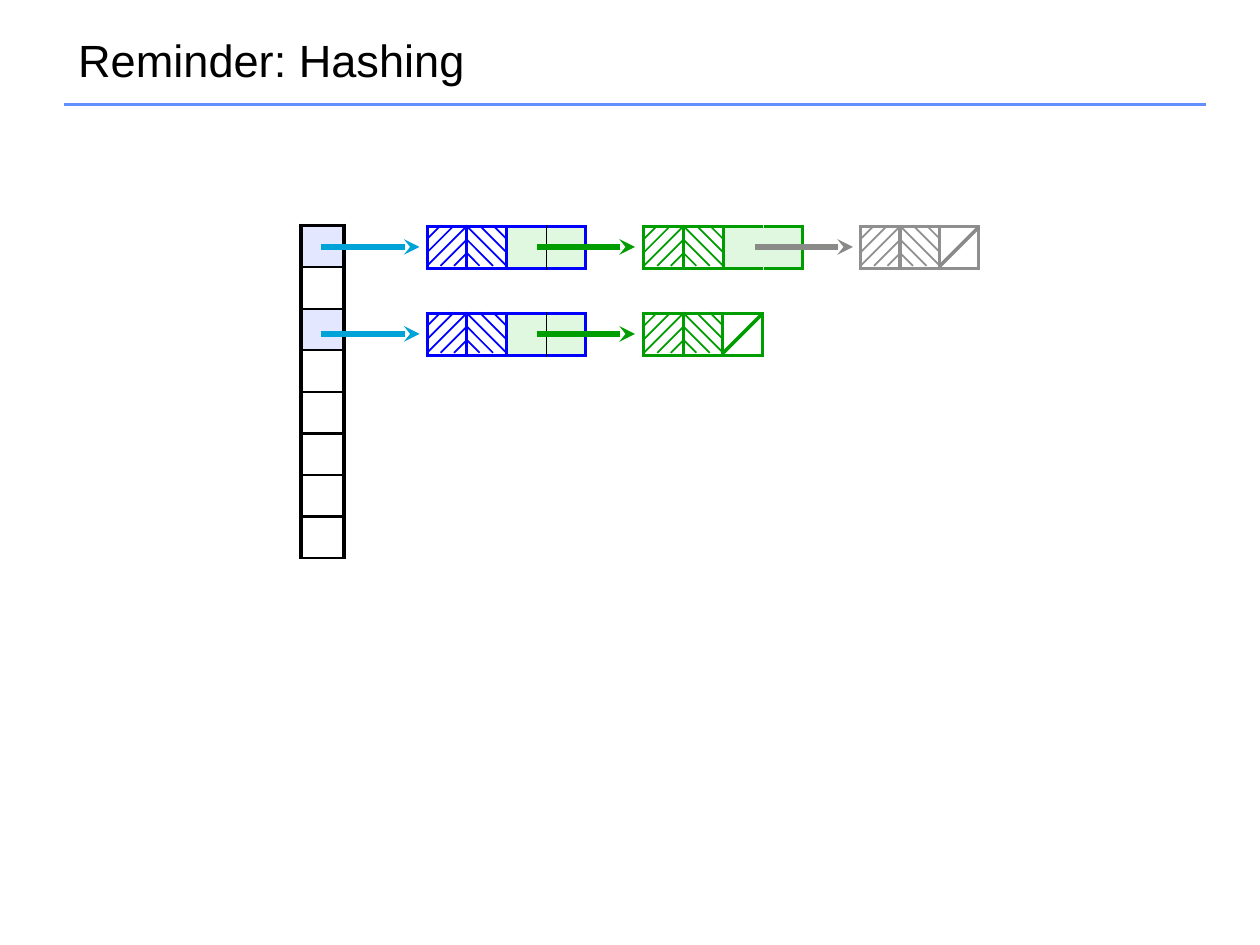
from lxml import etree
from pptx import Presentation
from pptx.dml.color import RGBColor
from pptx.enum.shapes import MSO_CONNECTOR
from pptx.enum.text import MSO_ANCHOR, PP_ALIGN
from pptx.oxml.ns import qn
from pptx.util import Inches, Pt

COLORS = {
    "black": "000000", "white": "FFFFFF", "rule": "618FFD",
    "used_slot": "E3E7FF", "pointer": "E0F8E0",
    "cyan": "00A3D7", "blue": "0000FF", "green": "009D00",
    "gray": "908F8F", "gray_link": "8A8A89",
}
FONT = "Arial"
ROW_HEIGHT = 0.33
HATCH_SIZE = 0.32
WIDE_NODE, SHORT_NODE = 1.26, 0.94
LINK_LENGTH = 0.78


def rgb(name):
    return RGBColor.from_string(COLORS[name])


class SlideBuilder:
    def __init__(self, presentation):
        self.slide = presentation.slides.add_slide(presentation.slide_layouts[5])
        self.shapes = self.slide.shapes

    def title(self, text, left, top, width, height):
        shape = self.shapes.title
        shape.left, shape.top = Inches(left), Inches(top)
        shape.width, shape.height = Inches(width), Inches(height)
        text_frame = shape.text_frame
        text_frame.text = text
        text_frame.vertical_anchor = MSO_ANCHOR.MIDDLE
        paragraph = text_frame.paragraphs[0]
        paragraph.alignment = PP_ALIGN.LEFT
        paragraph.line_spacing = 0.9
        font = paragraph.runs[0].font
        font.name, font.size = FONT, Pt(25.8)
        font.color.rgb = rgb("black")

    def line(self, start, end, color, width, arrow=False, shapes=None):
        shapes = self.shapes if shapes is None else shapes
        points = [Inches(value) for value in (*start, *end)]
        connector = shapes.add_connector(MSO_CONNECTOR.STRAIGHT, *points)
        connector.line.color.rgb = rgb(color)
        connector.line.width = Pt(width)
        if arrow:
            outline = connector.line._get_or_add_ln()
            etree.SubElement(outline, qn("a:tailEnd"), type="stealth")
        etree.SubElement(connector._element.spPr, qn("a:effectLst"))

    def link(self, left, top, color):
        middle = top + 0.16
        self.line((left, middle), (left + LINK_LENGTH, middle), color, 3, arrow=True)

    def table(self, left, top, width, rows, columns):
        frame = self.shapes.add_table(
            rows, columns, Inches(left), Inches(top),
            Inches(width), Inches(ROW_HEIGHT * rows))
        table = frame.table
        table.first_row = table.horz_banding = False
        return table

    def cell(self, cell, fill, borders):
        """Borders are (color, points) pairs: left, right, top, bottom."""
        cell.margin_left = cell.margin_right = 0
        cell.margin_top = cell.margin_bottom = 0
        properties = cell._tc.get_or_add_tcPr()
        for side, (color, points) in zip("LRTB", borders):
            border = etree.SubElement(properties, qn(f"a:ln{side}"), w=str(Pt(points)))
            solid = etree.SubElement(border, qn("a:solidFill"))
            etree.SubElement(solid, qn("a:srgbClr"), val=COLORS[color])
        cell.fill.solid()
        cell.fill.fore_color.rgb = rgb(fill)

    def hatch(self, left, top, color):
        """Rising strokes in the first cell, falling ones in the second."""
        group = self.shapes.add_group_shape()
        for step in range(1, 6):
            total = HATCH_SIZE * step / 3
            far = min(total, HATCH_SIZE)
            near = total - far
            self.line((left + far, top + near), (left + near, top + far),
                      color, 1, shapes=group.shapes)
            right = left + 2 * HATCH_SIZE - 0.01
            self.line((right - far, top + near), (right - near, top + far),
                      color, 1, shapes=group.shapes)

    def linked_node(self, left, top, color, divider):
        """Key, value and a pointer field two cells wide."""
        table = self.table(left, top, WIDE_NODE, 1, 4)
        edge = (color, 2)
        verticals = [edge, edge, edge, divider, edge]
        for column in range(4):
            fill = "pointer" if column > 1 else "white"
            self.cell(table.cell(0, column), fill,
                      (verticals[column], verticals[column + 1], edge, edge))
        self.hatch(left, top - 0.01, color)

    def last_node(self, left, top, color, slash_color):
        """Key, value and a struck-out pointer."""
        table = self.table(left, top, SHORT_NODE, 1, 3)
        for column in range(3):
            self.cell(table.cell(0, column), "white", [(color, 2)] * 4)
        self.hatch(left, top - 0.01, color)
        right = left + SHORT_NODE
        self.line((right, top), (right - 0.31, top + 0.31), slash_color, 2)

    def hash_table(self, left, top, slots, used):
        table = self.table(left, top, 0.34, slots, 1)
        thick, thin = ("black", 2.5), ("black", 1.5)
        for row in range(slots):
            fill = "used_slot" if row in used else "white"
            upper = thin if row else thick
            self.cell(table.cell(row, 0), fill, (thick, thick, upper, thin))


def main():
    presentation = Presentation()
    presentation.slide_width, presentation.slide_height = Inches(10), Inches(7.5)
    builder = SlideBuilder(presentation)

    # Title and rule
    builder.title("Reminder: Hashing", 0.52, 0.25, 9.07, 0.5)
    builder.line((0.51, 0.83), (9.57, 0.83), "rule", 2)

    # Hash table with two used slots
    builder.hash_table(2.39, 1.79, 8, used=(0, 2))

    # Chains: nodes first, then the links over them
    first_row, second_row = 1.8, 2.49
    for top in (first_row, second_row):
        builder.linked_node(3.39, top, "blue", divider=("black", 0.5))
    builder.linked_node(5.11, first_row, "green", divider=("pointer", 0.5))
    builder.last_node(6.83, first_row, "gray", "gray_link")
    builder.last_node(5.11, second_row, "green", "green")

    for top in (first_row, second_row):
        builder.link(2.55, top, "cyan")
        builder.link(4.26, top, "green")
    builder.link(5.99, first_row, "gray_link")

    presentation.save("out.pptx")


if __name__ == "__main__":
    main()
